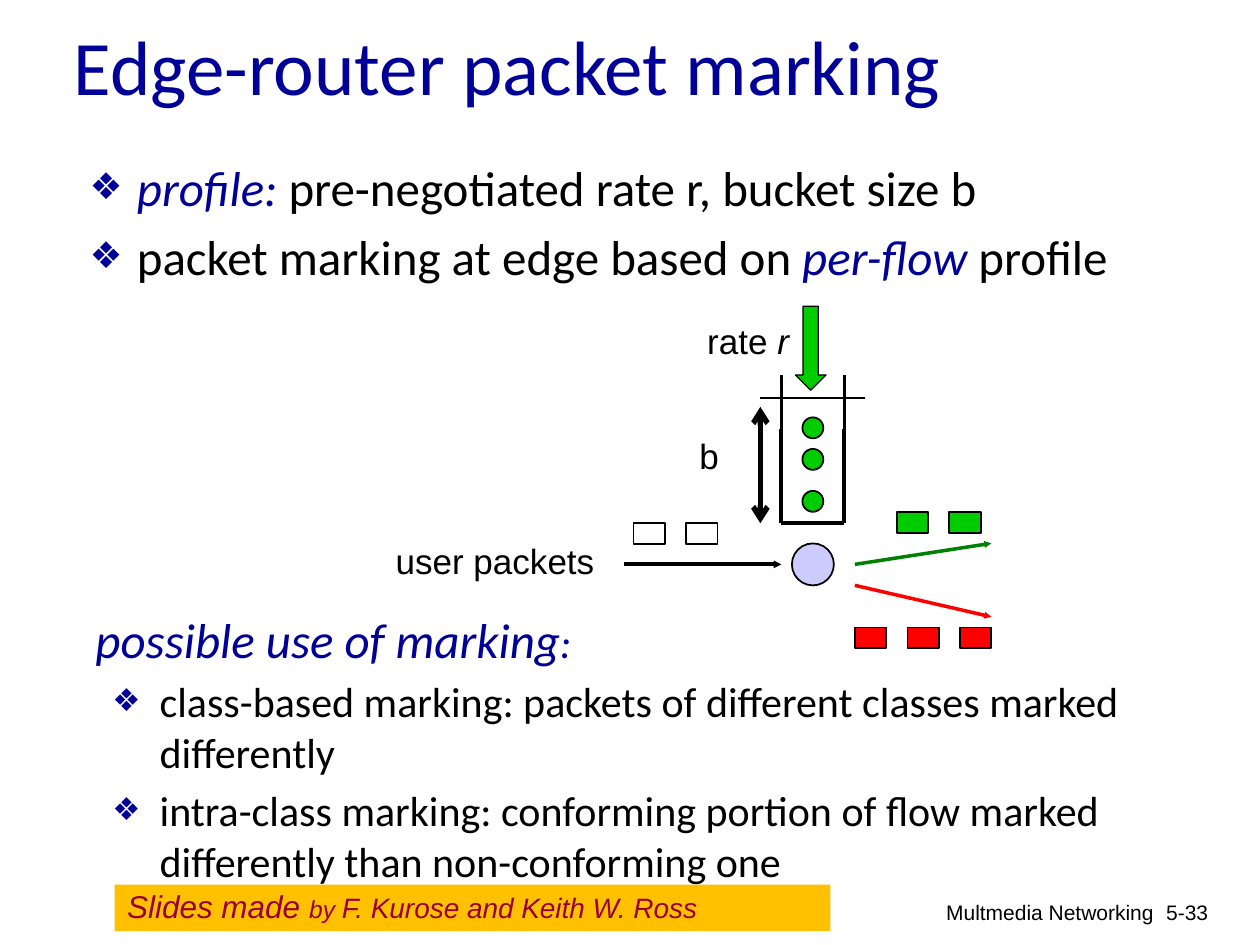
from dataclasses import dataclass
from typing import Optional

from lxml.etree import SubElement
from pptx import Presentation
from pptx.dml.color import RGBColor
from pptx.enum.shapes import MSO_CONNECTOR, MSO_SHAPE
from pptx.enum.text import MSO_ANCHOR, MSO_AUTO_SIZE, PP_ALIGN
from pptx.oxml.ns import qn
from pptx.util import Pt

COLORS = {
    "navy": "000099", "black": "000000", "white": "FFFFFF", "green": "00CC00",
    "dark green": "008000", "red": "FF0000", "lavender": "CCCCFF",
    "gold": "FFC000", "maroon": "990033",
}


@dataclass(frozen=True)
class Run:
    text: str
    size: float
    color: str = "black"
    italic: bool = False
    font: str = "Arial"


@dataclass(frozen=True)
class Label:
    box: tuple
    runs: tuple
    align: PP_ALIGN = PP_ALIGN.LEFT


@dataclass(frozen=True)
class Figure:
    kind: MSO_SHAPE
    box: tuple
    fill: str
    line_width: float = 1


@dataclass(frozen=True)
class Line:
    start: tuple
    end: tuple
    width: float
    color: str = "black"
    head: Optional[str] = None
    tail: Optional[str] = None
    head_size: str = "sm"


def rgb(name: str) -> RGBColor:
    return RGBColor.from_string(COLORS[name])


def apply(target, values: dict) -> None:
    for key, value in values.items():
        setattr(target, key, value)


def place(shape, box: tuple) -> None:
    apply(shape, dict(zip(("left", "top", "width", "height"), map(Pt, box))))


def add_runs(paragraph, runs: tuple) -> None:
    for run in runs:
        piece = paragraph.add_run()
        piece.text = run.text
        apply(piece.font, {"name": run.font, "size": Pt(run.size),
                           "italic": run.italic, "bold": False})
        piece.font.color.rgb = rgb(run.color)


def set_frame(frame, anchor: MSO_ANCHOR = MSO_ANCHOR.TOP) -> None:
    apply(frame, {"word_wrap": True, "auto_size": MSO_AUTO_SIZE.NONE,
                  "vertical_anchor": anchor})


def add_bullet(paragraph) -> None:
    properties = paragraph._p.get_or_add_pPr()
    properties.set("marL", str(Pt(27)))
    properties.set("indent", str(-Pt(27)))
    color = SubElement(properties, qn("a:buClr"))
    SubElement(color, qn("a:srgbClr"), val=COLORS["navy"])
    SubElement(properties, qn("a:buSzPct"), val="75000")
    SubElement(properties, qn("a:buFont"), typeface="Arial")
    SubElement(properties, qn("a:buChar"), char="❖")


def fill_list(body, box: tuple, items: tuple) -> None:
    place(body, box)
    frame = body.text_frame
    set_frame(frame)
    for index, runs in enumerate(items):
        paragraph = frame.add_paragraph() if index else frame.paragraphs[0]
        paragraph.space_before = Pt(runs[0].size * 0.2)
        add_bullet(paragraph)
        add_runs(paragraph, runs)


def draw_label(shapes, label: Label) -> None:
    frame = shapes.add_textbox(*map(Pt, label.box)).text_frame
    set_frame(frame)
    frame.paragraphs[0].alignment = label.align
    add_runs(frame.paragraphs[0], label.runs)


def draw_figure(shapes, figure: Figure):
    shape = shapes.add_shape(figure.kind, *map(Pt, figure.box))
    shape.shadow.inherit = False
    shape.fill.solid()
    shape.fill.fore_color.rgb = rgb(figure.fill)
    if figure.line_width:
        shape.line.color.rgb = rgb("black")
        shape.line.width = Pt(figure.line_width)
    else:
        shape.line.fill.background()
    return shape


def draw_line(shapes, line: Line) -> None:
    connector = shapes.add_connector(
        MSO_CONNECTOR.STRAIGHT, *map(Pt, line.start + line.end))
    connector.line.color.rgb = rgb(line.color)
    connector.line.width = Pt(line.width)
    outline = connector.line._get_or_add_ln()
    for tag, style in (("a:headEnd", line.head), ("a:tailEnd", line.tail)):
        if style:
            SubElement(outline, qn(tag), type=style,
                       w=line.head_size, len=line.head_size)
    SubElement(connector._element.spPr, qn("a:effectLst"))


def navy(text: str, size: float, italic: bool = True) -> Run:
    return Run(text, size, "navy", italic, "Calibri")


def plain(text: str, size: float) -> Run:
    return Run(text, size, font="Calibri")


def draw_diagram(shapes) -> None:
    left, right, rim, middle, bottom = 446.5, 482.5, 214.5, 245, 299
    center, flow = (left + right) / 2, 322.5
    fork, exit_end = 488.5, 566.5

    packet_rows = (
        (512.5, 292.5, 2, "green"), (488.5, 358.5, 3, "red"),
        (362, bottom, 2, "white"),
    )
    for start, top, count, color in packet_rows:
        for index in range(count):
            box = (start + 30 * index, top, 18, 12)
            draw_figure(shapes, Figure(MSO_SHAPE.RECTANGLE, box, color))

    for side in (left, right):
        draw_line(shapes, Line((side, middle), (side, bottom), 2.25))
        draw_line(shapes, Line((side, middle), (side, rim), 2))

    for top in (238.5, 256.5, 280.5):
        draw_figure(shapes, Figure(MSO_SHAPE.OVAL, (center - 6, top, 12, 12), "green"))
    draw_figure(shapes, Figure(
        MSO_SHAPE.OVAL, (center - 12, flow - 12, 24, 24), "lavender"))
    draw_figure(shapes, Figure(
        MSO_SHAPE.DOWN_ARROW, (454.5, 175, 17.5, 48), "green", 0.75))

    for line in (
        Line((left, bottom), (right, bottom), 2.25),
        Line((356.5, flow), (left, flow), 2.25, tail="triangle"),
        Line((fork, 334.5), (exit_end, 352.5), 2, "red", tail="triangle"),
        Line((fork, flow), (exit_end, 310.5), 2, "dark green", tail="triangle"),
        Line((434.5, 227.5), (494.5, 227.5), 0.75),
        Line((434.5, 232.5), (434.5, bottom), 3, head="arrow", tail="arrow",
             head_size="med"),
    ):
        draw_line(shapes, line)


def main() -> None:
    deck = Presentation()
    apply(deck, {"slide_width": Pt(720), "slide_height": Pt(540)})
    slide = deck.slides.add_slide(deck.slide_layouts[3])
    shapes = slide.shapes

    title = shapes.title
    place(title, (35, 10, 612, 54))
    set_frame(title.text_frame, MSO_ANCHOR.MIDDLE)
    heading = title.text_frame.paragraphs[0]
    heading.alignment = PP_ALIGN.LEFT
    add_runs(heading, (navy("Edge-router packet marking", 44, False),))

    fill_list(slide.placeholders[1], (44, 86.5, 630, 72), (
        (navy("profile: ", 28), plain("pre-negotiated rate r, bucket size b", 28)),
        (plain("packet marking at edge based on ", 28),
         navy("per-flow ", 28), plain("profile", 28)),
    ))
    fill_list(slide.placeholders[2], (57, 382.5, 648, 144), (
        (plain("class-based marking: packets of different classes marked "
               "differently", 24),),
        (plain("intra-class marking: conforming portion of flow marked "
               "differently than non-conforming one", 24),),
    ))
    draw_diagram(shapes)

    for label in (
        Label((47.5, 345, 354, 41), (navy("possible use of marking", 28), navy(":", 24))),
        Label((219, 305, 168, 31), (Run("user packets", 20),)),
        Label((397, 179, 90, 31), (Run("rate ", 20), Run("r", 20, italic=True))),
        Label((392.5, 245, 27, 31.5), (Run("b", 20),)),
        Label((438.5, 510.5, 228, 21.5), (Run("Multmedia Networking", 12),), PP_ALIGN.RIGHT),
        Label((644.5, 510.5, 53, 21.5), (Run("5-33", 12),), PP_ALIGN.RIGHT),
    ):
        draw_label(shapes, label)

    credit = draw_figure(shapes, Figure(
        MSO_SHAPE.RECTANGLE, (65.5, 505.5, 409, 26.5), "gold", 0)).text_frame
    set_frame(credit)
    apply(credit.paragraphs[0], {"alignment": PP_ALIGN.LEFT, "line_spacing": 0.9})
    add_runs(credit.paragraphs[0], (
        Run("Slides made ", 18, "maroon", True), Run("by ", 14, "maroon", True),
        Run("F. Kurose and Keith W. Ross", 16, "maroon", True)))

    deck.save("out.pptx")


if __name__ == "__main__":
    main()
